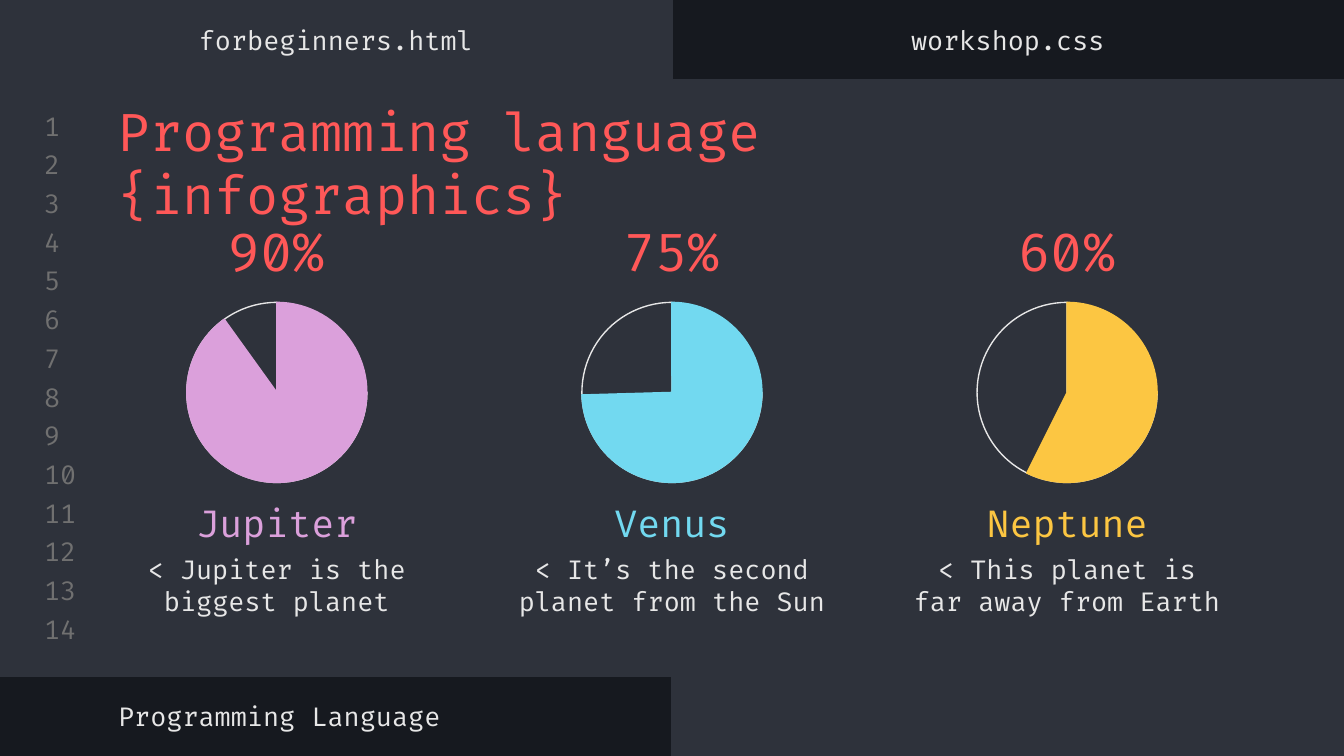
from dataclasses import dataclass

from pptx import Presentation
from pptx.dml.color import RGBColor
from pptx.enum.shapes import MSO_SHAPE
from pptx.enum.text import MSO_ANCHOR, PP_ALIGN
from pptx.shapes.autoshape import Shape
from pptx.slide import Slide
from pptx.util import Inches, Pt

COLUMNS, ROWS = 100, 56.25
CELL = Inches(0.1)
FONT = "Fira Code"
DARK, PANEL = "16191F", "2E323B"
LIGHT, GREY, RED = "E7E7E7", "707070", "FF5858"
MARGIN, PLANET_WIDTH, PLANET_PITCH = 7.8, 25.6, 29.4
PIE_SIZE, PIE_TOP = 13.4, 22.5
TOP_ANGLE = 270


@dataclass(frozen=True)
class Area:
    column: float
    row: float
    columns: float
    rows: float

    def lengths(self) -> tuple[int, ...]:
        cells = (self.column, self.row, self.columns, self.rows)
        return tuple(round(cell * CELL) for cell in cells)


@dataclass(frozen=True)
class Style:
    size: int
    color: str
    align: PP_ALIGN = PP_ALIGN.CENTER
    anchor: MSO_ANCHOR = MSO_ANCHOR.MIDDLE


@dataclass(frozen=True)
class Planet:
    name: str
    share: str
    description: str
    color: str
    end_angle: float


PLANETS = (
    Planet("Jupiter", "90%", "< Jupiter is the biggest planet", "DBA0DB", 234.3),
    Planet("Venus", "75%", "< It’s the second planet from the Sun", "72D9F0", 178.4),
    Planet("Neptune", "60%", "< This planet is far away from Earth", "FCC642", 116.55),
)


def rgb(color: str) -> RGBColor:
    return RGBColor.from_string(color)


def add_text(slide: Slide, text: str, area: Area, style: Style) -> None:
    frame = slide.shapes.add_textbox(*area.lengths()).text_frame
    frame.word_wrap = True
    frame.vertical_anchor = style.anchor
    frame.margin_left = frame.margin_right = CELL
    frame.margin_top = frame.margin_bottom = CELL
    frame.text = text
    paragraph = frame.paragraphs[0]
    paragraph.alignment = style.align
    font = paragraph.runs[0].font
    font.name = FONT
    font.size = Pt(style.size)
    font.color.rgb = rgb(style.color)


def add_figure(slide: Slide, kind: MSO_SHAPE, area: Area, line: str, fill: str | None) -> Shape:
    figure = slide.shapes.add_shape(kind, *area.lengths())
    figure.shadow.inherit = False
    if fill:
        figure.fill.solid()
        figure.fill.fore_color.rgb = rgb(fill)
    else:
        figure.fill.background()
    figure.line.color.rgb = rgb(line)
    figure.line.width = Pt(0.75)
    return figure


def add_pie(slide: Slide, area: Area, angles: tuple[float, float], line: str, fill: str | None) -> None:
    pie = add_figure(slide, MSO_SHAPE.PIE, area, line, fill)
    for index, angle in enumerate(angles):
        pie.adjustments[index] = angle * 0.6


def add_editor(slide: Slide) -> None:
    slide.background.fill.solid()
    slide.background.fill.fore_color.rgb = rgb(DARK)
    half = COLUMNS / 2
    for area in (
        Area(0, 0, half, 6.5),
        Area(half, 49.8, half, 6.5),
        Area(0, 5.9, COLUMNS, 44.4),
    ):
        add_figure(slide, MSO_SHAPE.RECTANGLE, area, PANEL, PANEL)
    for index in range(14):
        area = Area(2.3, 8.15 + 2.88 * index, 4.7, 2.4)
        add_text(slide, str(index + 1), area, Style(14, GREY, PP_ALIGN.LEFT))
    for index, file_name in enumerate(("forbeginners.html", "workshop.css")):
        add_text(slide, file_name, Area(half * index, 1, half, 3.9), Style(14, LIGHT))
    add_text(slide, "Programming Language", Area(MARGIN, 51.3, 53.2, 3.9),
             Style(14, LIGHT, PP_ALIGN.LEFT))


def add_planet(slide: Slide, planet: Planet, index: int) -> None:
    left = MARGIN + PLANET_PITCH * index
    add_text(slide, planet.share, Area(left, 16, PLANET_WIDTH, 5.3), Style(28, RED))
    add_text(slide, planet.name, Area(left, 37, PLANET_WIDTH, 3.7), Style(20, planet.color))
    add_text(slide, planet.description, Area(left, 40.2, PLANET_WIDTH, 6.3),
             Style(14, LIGHT, anchor=MSO_ANCHOR.TOP))
    pie_area = Area(left + (PLANET_WIDTH - PIE_SIZE) / 2, PIE_TOP, PIE_SIZE, PIE_SIZE)
    add_pie(slide, pie_area, (0, TOP_ANGLE), LIGHT, None)
    add_pie(slide, pie_area, (TOP_ANGLE, planet.end_angle), planet.color, planet.color)


def main() -> None:
    presentation = Presentation()
    presentation.slide_width = round(COLUMNS * CELL)
    presentation.slide_height = round(ROWS * CELL)
    slide = presentation.slides.add_slide(presentation.slide_layouts[6])
    add_editor(slide)
    add_text(slide, "Programming language {infographics}", Area(MARGIN, 6.4, 84.4, 6.3),
             Style(28, RED, PP_ALIGN.LEFT, MSO_ANCHOR.TOP))
    for index, planet in enumerate(PLANETS):
        add_planet(slide, planet, index)
    presentation.save("out.pptx")


if __name__ == "__main__":
    main()
